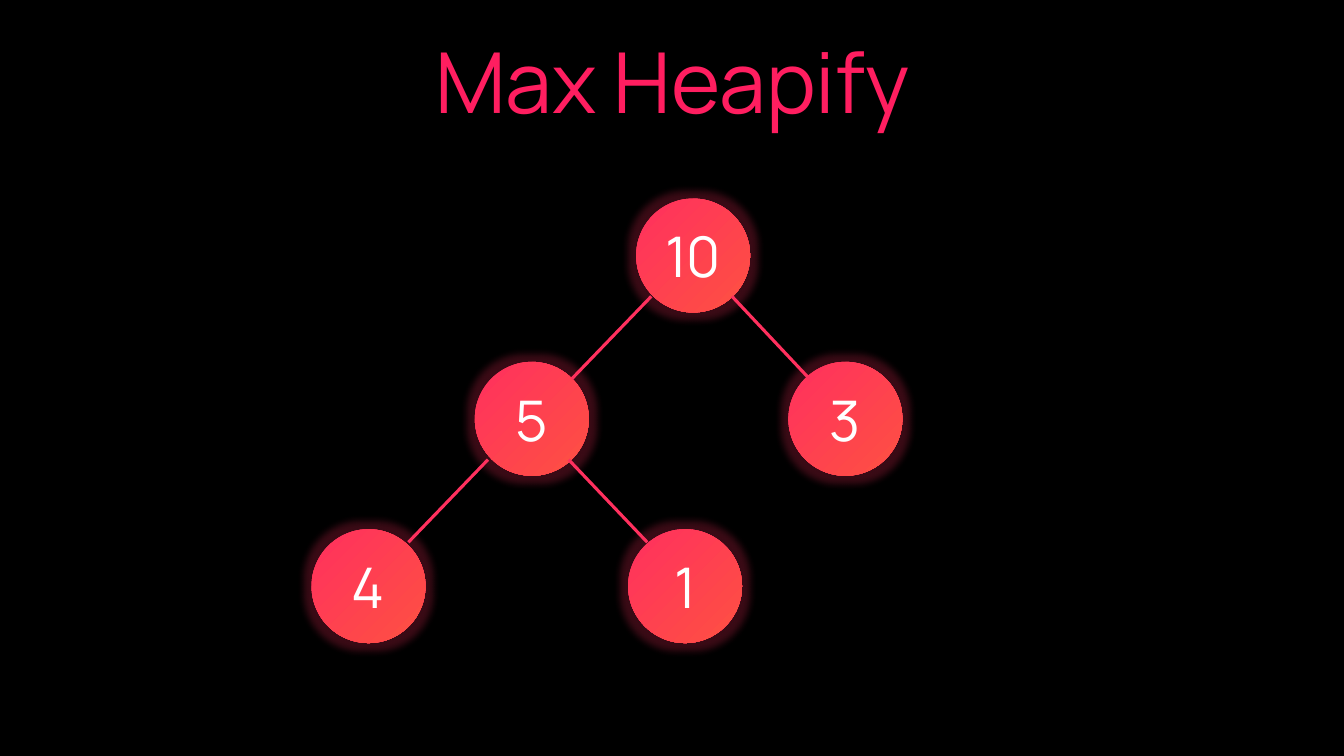
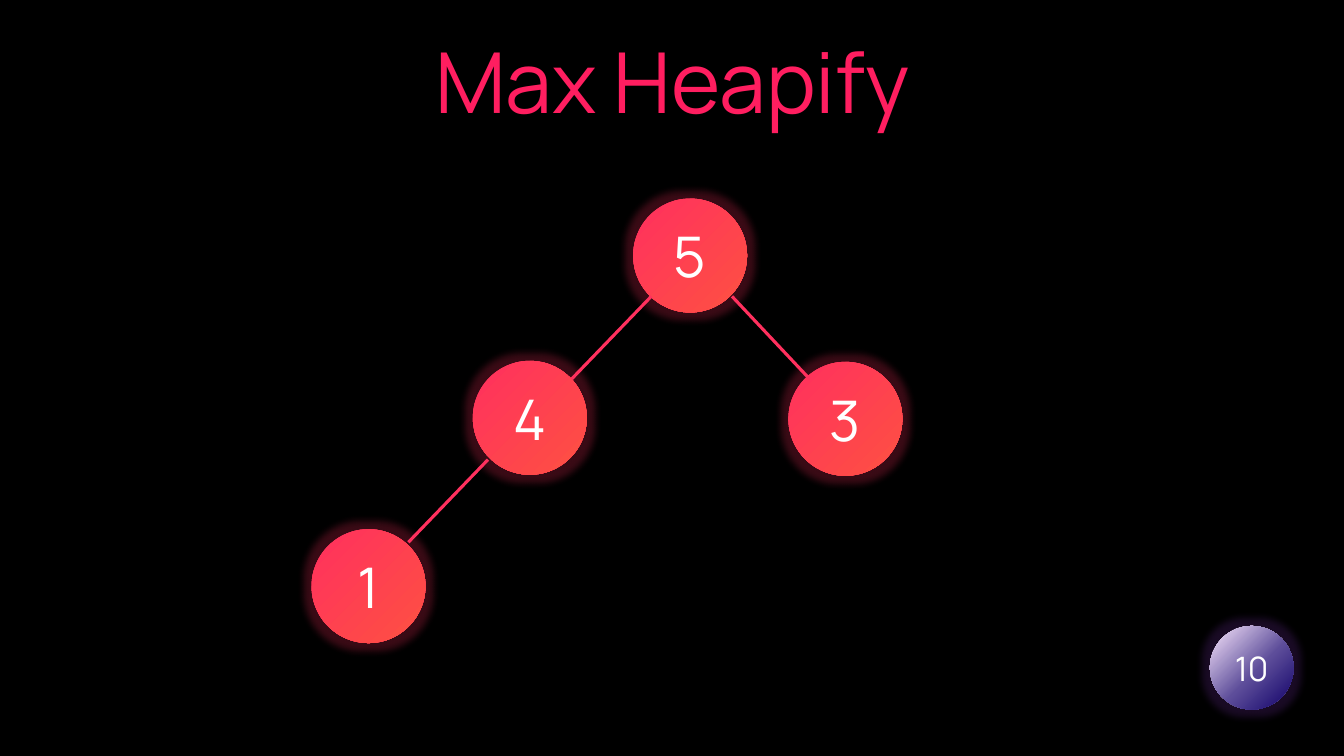
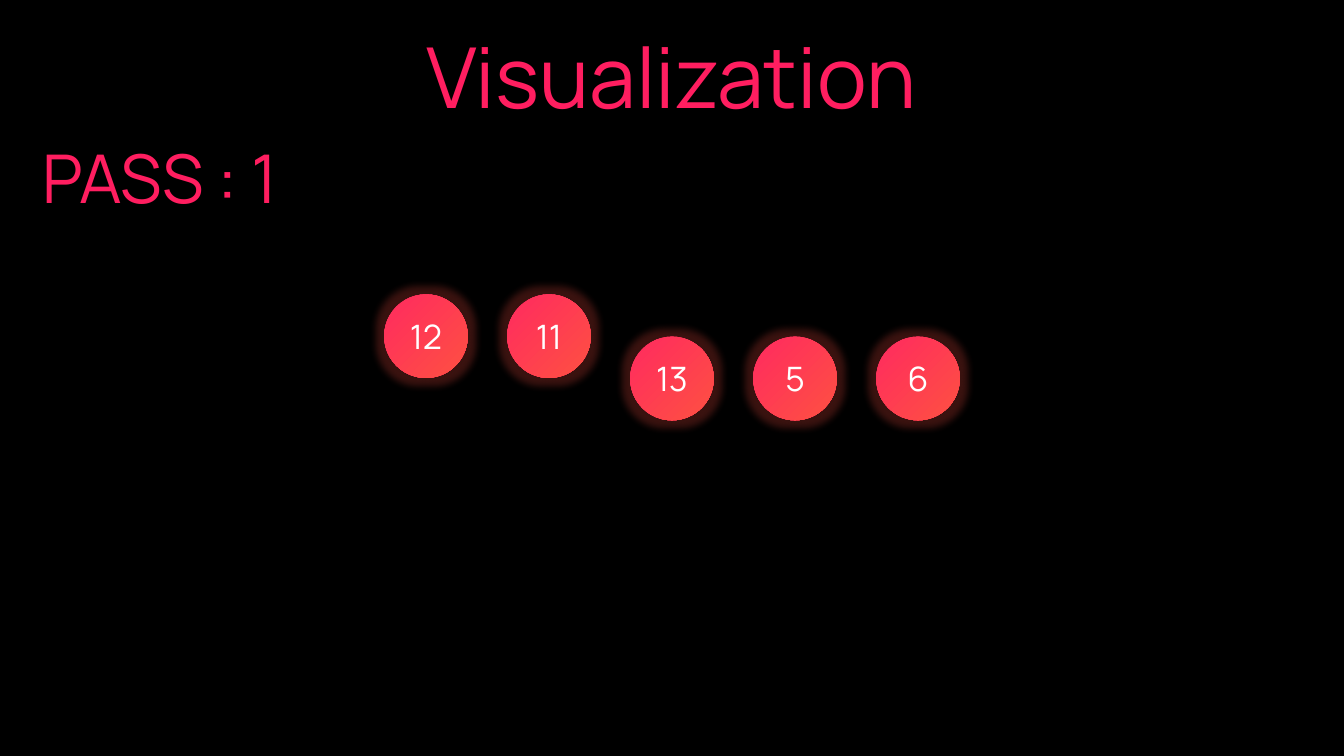
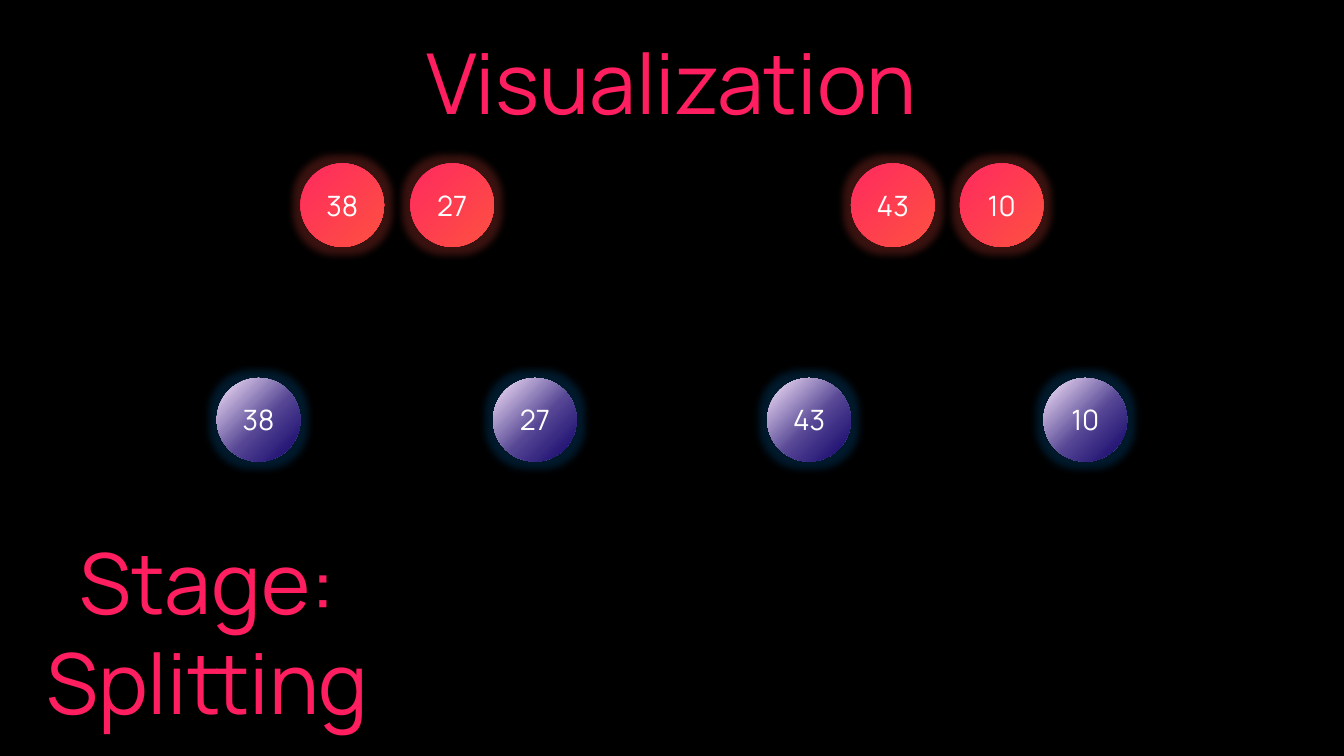
from dataclasses import dataclass

from lxml import etree
from pptx import Presentation
from pptx.dml.color import RGBColor
from pptx.enum.shapes import MSO_CONNECTOR, MSO_SHAPE
from pptx.enum.text import MSO_ANCHOR, MSO_AUTO_SIZE, PP_ALIGN
from pptx.oxml import parse_xml
from pptx.oxml.ns import nsdecls, qn
from pptx.util import Inches, Pt

CENTER = PP_ALIGN.CENTER
TOP, MIDDLE = MSO_ANCHOR.TOP, MSO_ANCHOR.MIDDLE
GROW = MSO_AUTO_SIZE.SHAPE_TO_FIT_TEXT
ELLIPSE = MSO_SHAPE.OVAL
STRAIGHT = MSO_CONNECTOR.STRAIGHT
TITLE_ONLY = 5

DIAGONAL = '<a:lin ang="2700000" scaled="1"/>'
FROM_CORNER = ('<a:path path="circle">'
               '<a:fillToRect t="100000" r="100000"/></a:path>')


@dataclass(frozen=True)
class Ball:
    """Look of a numbered circle: diameter, text size, gradient and glow."""
    diameter: float
    size: int
    stops: tuple
    glow: str


@dataclass(frozen=True)
class Theme:
    font: str = "Manrope"
    background: str = "000000"
    number: str = "FFFFFF"
    edge: str = "FF305E"
    edge_width: float = 2.25
    heading: tuple = ((0, "FF1E60"), (100, "FE5140"))
    title_size: int = 60
    pass_size: int = 48
    glow_radius: int = 11
    glow_alpha: int = 23
    node: Ball = Ball(1.13, 40, ((0, "FF305E"), (100, "FE5142")), "FF305E")
    removed: Ball = Ball(
        0.83, 24, ((0, "FCEAFF"), (55, "5D4D9A"), (100, "0F0068")), "7030A0")
    item: Ball = Ball(0.83, 24, ((0, "FF2A5F"), (100, "FE5142")), "FE5144")
    half: Ball = Ball(0.83, 20, ((0, "FF2A5F"), (100, "FE5141")), "FE5144")
    single: Ball = Ball(
        0.83, 20, ((0, "FCEAFF"), (55, "554594"), (100, "0F0068")), "0070C0")


THEME = Theme()

# Both ends of each branch of the heap tree
ROOT_LEFT = (6.46, 2.94, 5.67, 3.76)
ROOT_RIGHT = (7.26, 2.94, 8.03, 3.76)
CHILD_LEFT = (4.84, 4.56, 4.05, 5.38)
CHILD_RIGHT = (5.64, 4.56, 6.42, 5.38)


def set_gradient(fill, owner, stops, direction):
    """Give the fill of owner (an spPr or rPr element) these colour stops."""
    fill.gradient()
    marks = "".join(
        f'<a:gs pos="{percent * 1000}"><a:srgbClr val="{color}"/></a:gs>'
        for percent, color in stops)
    gradient = parse_xml(
        f'<a:gradFill {nsdecls("a")} rotWithShape="1">'
        f'<a:gsLst>{marks}</a:gsLst>{direction}</a:gradFill>')
    owner.replace(owner.find(qn("a:gradFill")), gradient)


class Deck:
    def __init__(self, theme):
        self.theme = theme
        self.prs = Presentation()
        self.prs.slide_width = Inches(13.33)
        self.prs.slide_height = Inches(7.5)
        backdrop = self.prs.slide_master.background.fill
        backdrop.solid()
        backdrop.fore_color.rgb = RGBColor.from_string(theme.background)
        self.slide = None

    def add_slide(self, title, left, top, width):
        layout = self.prs.slide_layouts[TITLE_ONLY]
        self.slide = self.prs.slides.add_slide(layout)
        self.write_heading(self.slide.shapes.title, (left, top, width, 1.11),
                           [title], self.theme.title_size)

    def label(self, box, lines, size):
        textbox = self.slide.shapes.add_textbox(*map(Inches, box))
        self.write_heading(textbox, box, lines, size)

    def write_heading(self, holder, box, lines, size):
        holder.left, holder.top, holder.width, holder.height = map(Inches, box)
        frame = holder.text_frame
        frame.word_wrap = False
        frame.auto_size = GROW
        frame.vertical_anchor = TOP
        paragraph = frame.paragraphs[0]
        paragraph.alignment = CENTER
        for index, line in enumerate(lines):
            if index:
                paragraph.add_line_break()
            run = self.write_run(paragraph, line, size)
            set_gradient(run.font.fill, run.font.fill._xPr,
                         self.theme.heading, FROM_CORNER)

    def write_run(self, paragraph, text, size):
        run = paragraph.add_run()
        run.text = text
        run.font.name = self.theme.font
        run.font.size = Pt(size)
        return run

    def ball(self, number, left, top, look):
        circle = self.slide.shapes.add_shape(
            ELLIPSE, Inches(left), Inches(top),
            Inches(look.diameter), Inches(look.diameter))
        properties = circle.element.spPr
        set_gradient(circle.fill, properties, look.stops, DIAGONAL)
        circle.line.fill.background()
        circle.shadow.inherit = False
        properties.find(qn("a:effectLst")).append(parse_xml(
            f'<a:glow {nsdecls("a")} rad="{Pt(self.theme.glow_radius)}">'
            f'<a:srgbClr val="{look.glow}">'
            f'<a:alpha val="{self.theme.glow_alpha * 1000}"/>'
            '</a:srgbClr></a:glow>'))
        frame = circle.text_frame
        frame.vertical_anchor = MIDDLE
        paragraph = frame.paragraphs[0]
        paragraph.alignment = CENTER
        run = self.write_run(paragraph, str(number), look.size)
        run.font.color.rgb = RGBColor.from_string(self.theme.number)

    def edge(self, ends):
        branch = self.slide.shapes.add_connector(STRAIGHT, *map(Inches, ends))
        branch.line.color.rgb = RGBColor.from_string(self.theme.edge)
        branch.line.width = Pt(self.theme.edge_width)
        etree.SubElement(branch.element.spPr, qn("a:effectLst"))

    def heap(self, nodes, edges):
        self.add_slide("Max Heapify", 3.93, 0.24, 5.48)
        for number, left, top in nodes:
            self.ball(number, left, top, self.theme.node)
        for ends in edges:
            self.edge(ends)


def main():
    deck = Deck(THEME)

    deck.heap(
        [(10, 6.31, 1.97), (5, 4.71, 3.59), (3, 7.82, 3.59),
         (4, 3.09, 5.25), (1, 6.23, 5.25)],
        [ROOT_LEFT, ROOT_RIGHT, CHILD_LEFT, CHILD_RIGHT])

    deck.heap(
        [(5, 6.28, 1.97), (4, 4.69, 3.58), (3, 7.82, 3.59), (1, 3.09, 5.25)],
        [ROOT_LEFT, ROOT_RIGHT, CHILD_LEFT])
    deck.ball(10, 12, 6.21, THEME.removed)

    deck.add_slide("Visualization", 3.81, 0.19, 5.71)
    raised, resting = 2.92, 3.34
    row = [(12, raised), (11, raised), (13, resting), (5, resting),
           (6, resting)]
    for column, (number, top) in enumerate(row):
        deck.ball(number, 3.81 + 1.22 * column, top, THEME.item)
    deck.label((0.26, 1.3, 2.65, 0.91), ["PASS : 1"], THEME.pass_size)

    deck.add_slide("Visualization", 3.81, 0.25, 5.71)
    splits = [(38, 2.98, 2.15), (27, 4.07, 4.89),
              (43, 8.44, 7.61), (10, 9.52, 10.35)]
    for number, half_left, single_left in splits:
        deck.ball(number, half_left, 1.62, THEME.half)
        deck.ball(number, single_left, 3.75, THEME.single)
    deck.label((0.18, 5.21, 3.76, 2.12), ["Stage:", "Splitting"],
               THEME.title_size)

    deck.prs.save("out.pptx")


if __name__ == "__main__":
    main()
